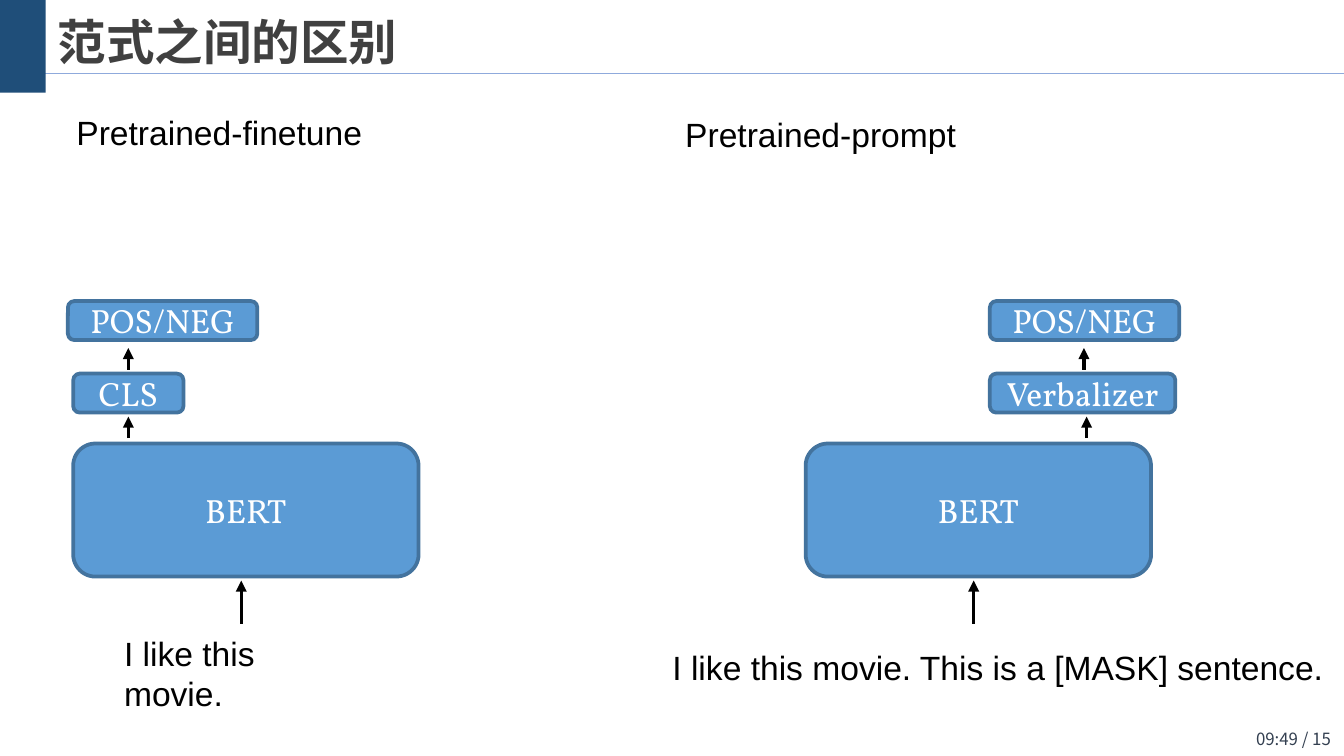
import pptx
import pptx.util
import pptx.dml.color
import pptx.enum.shapes
import pptx.enum.text
import pptx.oxml.ns
import lxml.etree

RGBColor = pptx.dml.color.RGBColor
Align = pptx.enum.text.PP_ALIGN
Anchor = pptx.enum.text.MSO_ANCHOR
Shape = pptx.enum.shapes.MSO_SHAPE

WHITE = RGBColor(0xFF, 0xFF, 0xFF)
BLACK = RGBColor(0, 0, 0)
NAVY = RGBColor(0x1F, 0x4E, 0x79)
RULE = RGBColor(0x8F, 0xAA, 0xDC)
BLOCK = RGBColor(0x5B, 0x9B, 0xD5)
BLOCK_EDGE = RGBColor(0x43, 0x73, 0x9E)
TITLE = RGBColor(0x40, 0x40, 0x40)
FOOTER = RGBColor(0x33, 0x3F, 0x50)

CJK = "Noto Sans CJK SC"
COLUMNS, ROWS = 100, 56.25
CELL = pptx.util.Inches(0.1)


def write_text(frame, text, size=18, font="Arial", color=BLACK, bold=False,
               align=Align.LEFT, anchor=Anchor.TOP):
    frame.word_wrap = True
    frame.vertical_anchor = anchor
    para = frame.paragraphs[0]
    para.alignment = align
    span = para.add_run()
    span.text = text
    span.font.size = pptx.util.Pt(size)
    span.font.bold = bold
    span.font.color.rgb = color
    span.font.name = font
    east_asian = lxml.etree.SubElement(span.font._element, pptx.oxml.ns.qn("a:ea"))
    east_asian.set("typeface", font)


class Painter:
    """Draws styled elements on a page measured in grid columns and rows."""

    def __init__(self, deck):
        deck.slide_width = self.cells(COLUMNS)
        deck.slide_height = self.cells(ROWS)
        self.page = deck.slides.add_slide(deck.slide_layouts[6])

    def cells(self, count):
        return round(count * CELL)

    def text(self, area, text, grow=False, **style):
        box = self.page.shapes.add_textbox(*map(self.cells, area))
        write_text(box.text_frame, text, **style)
        if grow:
            box.text_frame.auto_size = pptx.enum.text.MSO_AUTO_SIZE.SHAPE_TO_FIT_TEXT

    def shape(self, kind, area, fill, edge=None):
        shape = self.page.shapes.add_shape(kind, *map(self.cells, area))
        shape.shadow.inherit = False
        shape.fill.solid()
        shape.fill.fore_color.rgb = fill
        if edge is None:
            shape.line.fill.background()
        else:
            shape.line.color.rgb = edge
            shape.line.width = pptx.util.Pt(2)
        return shape

    def block(self, area, label):
        shape = self.shape(Shape.ROUNDED_RECTANGLE, area, BLOCK, BLOCK_EDGE)
        write_text(shape.text_frame, label, font="Vollkorn", color=WHITE,
                   align=Align.CENTER, anchor=Anchor.MIDDLE)

    def line(self, start, end, color, width):
        line = self.page.shapes.add_connector(
            pptx.enum.shapes.MSO_CONNECTOR.STRAIGHT, *map(self.cells, start + end))
        line.line.color.rgb = color
        line.line.width = pptx.util.Pt(width)
        lxml.etree.SubElement(line._element.spPr, pptx.oxml.ns.qn("a:effectLst"))
        return line

    def up_arrow(self, column, bottom, top):
        arrow = self.line((column, bottom), (column, top), BLACK, 1.75)
        outline = arrow.line._get_or_add_ln()
        head = lxml.etree.SubElement(outline, pptx.oxml.ns.qn("a:tailEnd"))
        head.set("type", "triangle")

    def model(self, bert, head, head_width, head_label, answer, head_arrow, answer_arrow):
        self.block((bert, 33, 25.7, 9.9), "BERT")
        self.block((head, 27.8, head_width, 2.9), head_label)
        self.block((answer, 22.4, 14.1, 2.9), "POS/NEG")
        self.up_arrow(bert + 12.5, 46.4, 43.2)
        self.up_arrow(head_arrow, 32.6, 31)
        self.up_arrow(answer_arrow, 27.5, 25.9)


def main():
    deck = pptx.Presentation()
    painter = Painter(deck)

    painter.line((0, 5.45), (COLUMNS, 5.45), RULE, 0.75)
    painter.shape(Shape.RECTANGLE, (0, 0, 3.4, 6.9), NAVY)
    painter.text((90.7, 53.75, 9.3, 2.5), "09:49 / 15", size=9, font=CJK,
                 color=FOOTER, align=Align.RIGHT, anchor=Anchor.MIDDLE)
    painter.text((3.3, 0.7, 55.7, 5), "范式之间的区别", size=26, font=CJK,
                 color=TITLE, bold=True, anchor=Anchor.BOTTOM)

    painter.text((4.7, 7.85, 27.2, 4), "Pretrained-finetune", grow=True)
    painter.model(bert=5.45, head=5.45, head_width=8.2, head_label="CLS",
                  answer=5.05, head_arrow=9.55, answer_arrow=9.55)
    painter.text((8.25, 46.6, 19.3, 4), "I like this movie.", grow=True)

    painter.text((50, 8, 27.2, 4), "Pretrained-prompt", grow=True)
    painter.model(bert=59.95, head=73.65, head_width=13.8, head_label="Verbalizer",
                  answer=73.65, head_arrow=80.85, answer_arrow=80.65)
    painter.text((49.05, 47.65, 52, 4), "I like this movie. This is a [MASK] sentence.", grow=True)

    deck.save("out.pptx")


if __name__ == "__main__":
    main()
